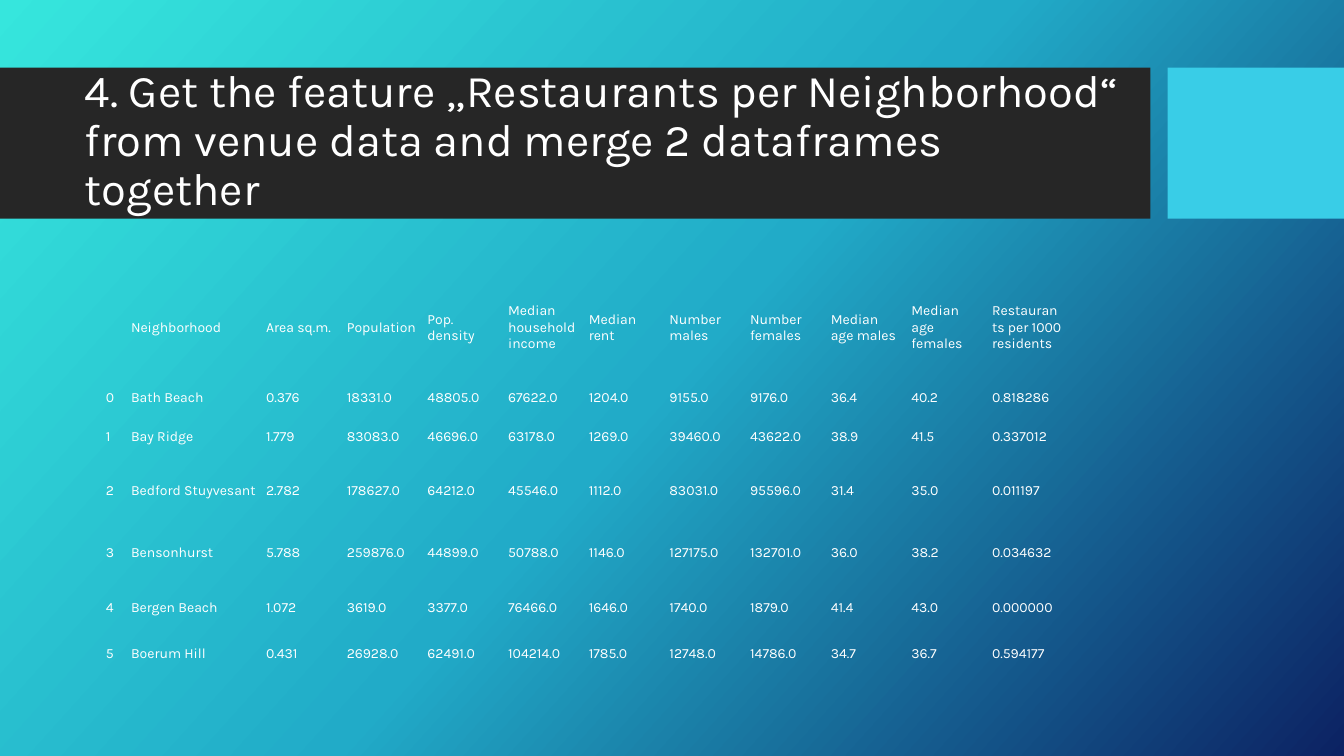
import copy

import pptx
import pptx.dml.color
import pptx.enum.shapes
import pptx.enum.text
import pptx.oxml.ns
import pptx.util

Inches = pptx.util.Inches
qn = pptx.oxml.ns.qn

COLORS = {
    "turquoise": "36E6DD",
    "blue": "21ABC8",
    "navy": "0C2263",
    "band": "262626",
    "accent": "39CDE7",
    "text": "FFFFFF",
}
NO_STYLE_NO_GRID = "{2D5ABB26-0587-4C30-8999-92F81FD0307C}"


def rgb(name):
    return pptx.dml.color.RGBColor.from_string(COLORS[name])


def write(frame, text, size, font="Karla", color="text", spacing=None):
    paragraph = frame.paragraphs[0]
    paragraph.alignment = pptx.enum.text.PP_ALIGN.LEFT
    paragraph.line_spacing = spacing
    run = paragraph.add_run()
    run.text = text
    run.font.size = pptx.util.Pt(size)
    run.font.name = font
    run.font.color.rgb = rgb(color)


class SlideBuilder:
    title_size = 32.4
    table_size = 10
    middle = pptx.enum.text.MSO_ANCHOR.MIDDLE

    def __init__(self, slide):
        self.slide = slide

    def background(self, stops, angle):
        fill = self.slide.background.fill
        fill.gradient()
        fill.gradient_angle = 360 - angle
        stop_list = self.slide.element.find(".//" + qn("a:gsLst"))
        while len(stop_list) < len(stops):
            stop_list.append(copy.deepcopy(stop_list[0]))
        for stop, (position, color) in zip(fill.gradient_stops, stops):
            stop.position = position
            stop.color.rgb = rgb(color)

    def rectangle(self, left, top, width, height, color):
        shape = self.slide.shapes.add_shape(
            pptx.enum.shapes.MSO_SHAPE.RECTANGLE,
            Inches(left), Inches(top), Inches(width), Inches(height))
        shape.shadow.inherit = False
        shape.fill.solid()
        shape.fill.fore_color.rgb = rgb(color)
        shape.line.fill.background()

    def title(self, text, left, top, width, height):
        title = self.slide.shapes.title
        title.left, title.top = Inches(left), Inches(top)
        title.width, title.height = Inches(width), Inches(height)
        frame = title.text_frame
        frame.word_wrap = True
        frame.auto_size = pptx.enum.text.MSO_AUTO_SIZE.NONE
        frame.vertical_anchor = self.middle
        write(frame, text, self.title_size, spacing=0.9)
        # Bring the title in front of the band
        self.slide.shapes.element.append(title.element)

    def table(self, records, left, top, widths, heights):
        table = self.slide.shapes.add_table(
            len(heights), len(widths), Inches(left), Inches(top),
            Inches(sum(widths)), Inches(sum(heights))).table
        table.first_row = table.horz_banding = False
        table._tbl.tblPr.find(qn("a:tableStyleId")).text = NO_STYLE_NO_GRID
        for column, width in zip(table.columns, widths):
            column.width = Inches(width)
        for row, height, record in zip(table.rows, heights, records):
            row.height = Inches(height)
            for cell, value in zip(row.cells, record):
                cell.fill.background()
                cell.vertical_anchor = self.middle
                cell.margin_left = cell.margin_right = Inches(0.05)
                cell.margin_top = cell.margin_bottom = Inches(0.03)
                if value:
                    write(cell.text_frame, value, self.table_size)


presentation = pptx.Presentation()
presentation.slide_width, presentation.slide_height = Inches(13.33), Inches(7.5)
TITLE_ONLY = presentation.slide_layouts[5]
builder = SlideBuilder(presentation.slides.add_slide(TITLE_ONLY))

# Background and title band
builder.background([(0, "turquoise"), (0.5, "blue"), (1, "navy")], angle=42)
builder.rectangle(0, 0.67, 11.41, 1.5, "band")
builder.rectangle(11.58, 0.67, 1.75, 1.5, "accent")
builder.title(
    "4. Get the feature „Restaurants per Neighborhood“ from venue data "
    "and merge 2 dataframes together", 0.74, 0.82, 10.51, 1.18)

# Merged dataframe
headings = [
    "", "Neighborhood", "Area sq.m.", "Population", "Pop. density",
    "Median household income", "Median rent", "Number males",
    "Number females", "Median age males", "Median age females",
    "Restaurants per 1000 residents",
]
neighborhoods = [
    ("Bath Beach", "0.376 18331.0 48805.0 67622.0 1204.0 9155.0 9176.0 36.4 40.2 0.818286"),
    ("Bay Ridge", "1.779 83083.0 46696.0 63178.0 1269.0 39460.0 43622.0 38.9 41.5 0.337012"),
    ("Bedford Stuyvesant", "2.782 178627.0 64212.0 45546.0 1112.0 83031.0 95596.0 31.4 35.0 0.011197"),
    ("Bensonhurst", "5.788 259876.0 44899.0 50788.0 1146.0 127175.0 132701.0 36.0 38.2 0.034632"),
    ("Bergen Beach", "1.072 3619.0 3377.0 76466.0 1646.0 1740.0 1879.0 41.4 43.0 0.000000"),
    ("Boerum Hill", "0.431 26928.0 62491.0 104214.0 1785.0 12748.0 14786.0 34.7 36.7 0.594177"),
]
records = [headings] + [
    [str(index), name, *figures.split()]
    for index, (name, figures) in enumerate(neighborhoods)
]
builder.table(records, 1, 2.74, widths=[0.25, 1.34] + [0.8] * 10,
              heights=[1.02, 0.38, 0.38, 0.7, 0.54, 0.54, 0.38])

presentation.save("out.pptx")
